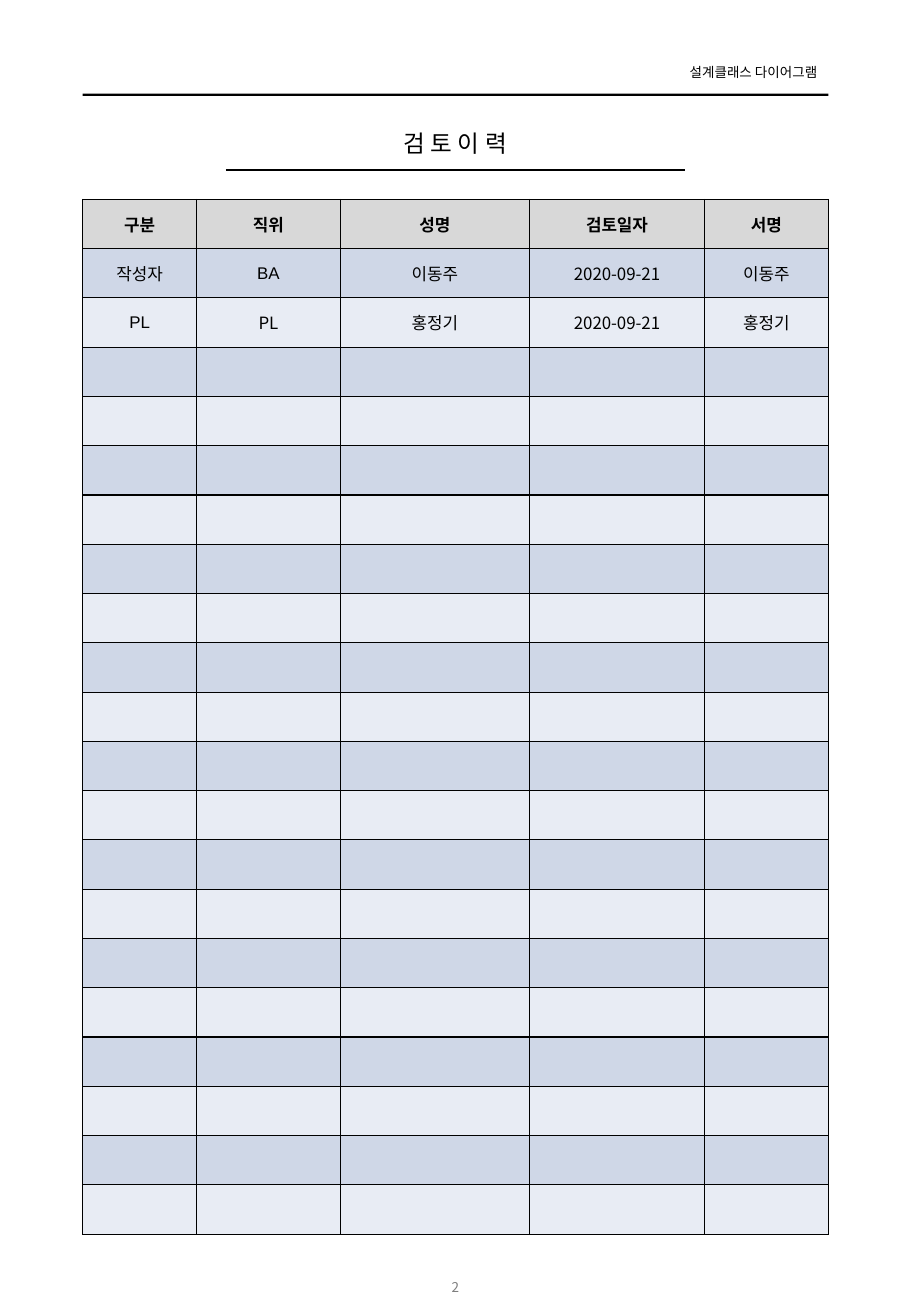
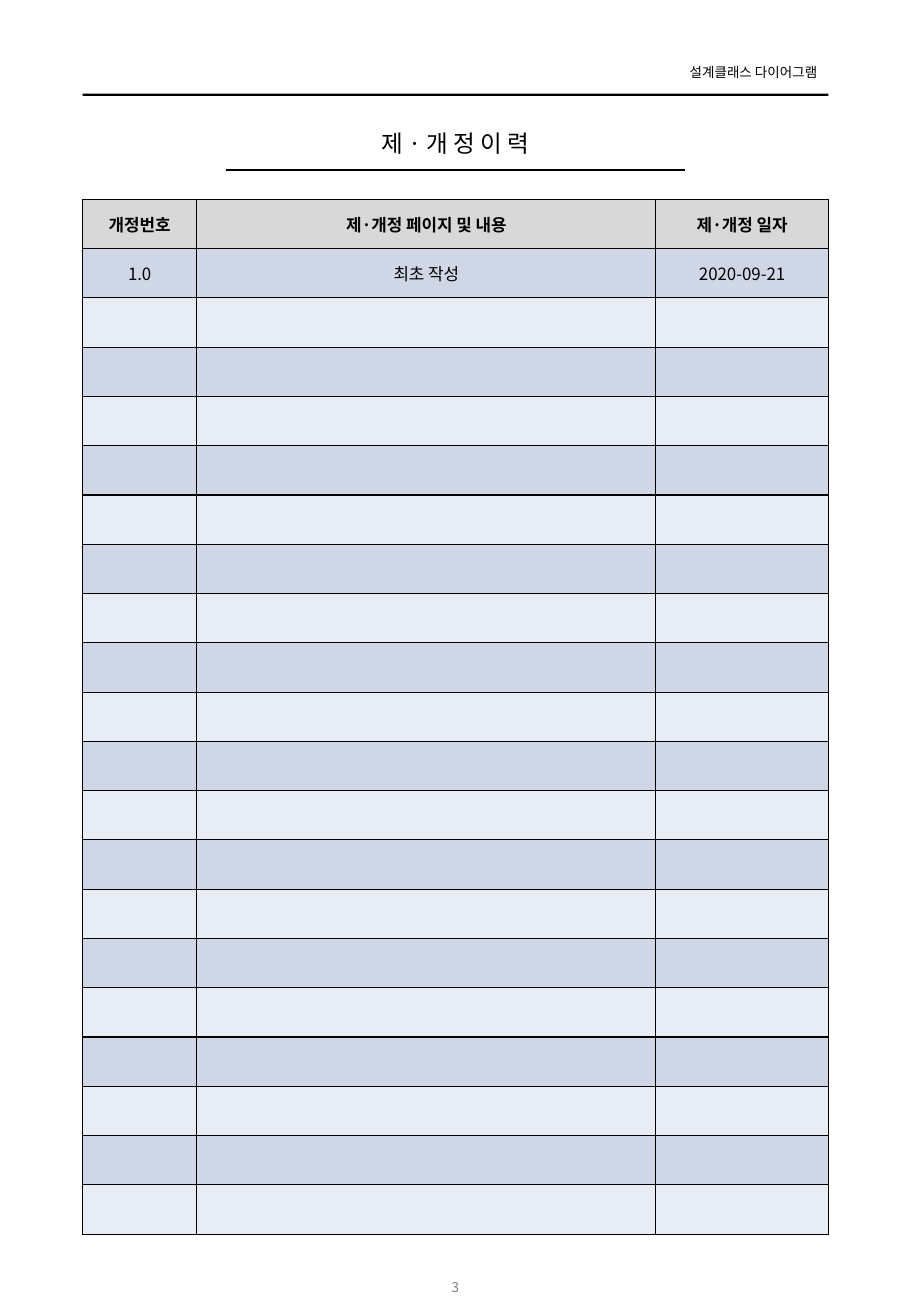
from lxml import etree
from pptx import Presentation, util as u
from pptx.dml.color import RGBColor
from pptx.enum import shapes, text
from pptx.oxml.ns import qn

EMU_PER_PX = 9144
FONT, LATIN_FONT = "Noto Sans CJK KR", "Arial"
BLACK, GREY, HEAD_FILL = "000000", "7F7F7F", "D8D8D8"
BANDS = ("CFD7E7", "E8ECF4")
LEFT, WIDTH = 68, 614
TABLE_TOP, TABLE_HEIGHT, ROWS = 164, 852, 21
ALIGN, ANCHOR = text.PP_ALIGN, text.MSO_ANCHOR

REVIEW = [
    ["구분", "직위", "성명", "검토일자", "서명"],
    ["작성자", "BA", "이동주", "2020-09-21", "이동주"],
    ["PL", "PL", "홍정기", "2020-09-21", "홍정기"],
]
REVISION = [
    ["개정번호", "제·개정 페이지 및 내용", "제·개정 일자"],
    ["1.0", "최초 작성", "2020-09-21"],
]


def px(length):
    """Turn px into EMU."""
    return u.Emu(round(length * EMU_PER_PX))


def color(hex_value):
    """Turn a hex string into a colour."""
    return RGBColor.from_string(hex_value)


def paint(fill, hex_value):
    """Give a fill one solid colour."""
    fill.solid()
    fill.fore_color.rgb = color(hex_value)


def style(paragraph, size, align=ALIGN.CENTER, ink=BLACK, bold=False, font=FONT):
    """Set the look of a whole paragraph."""
    paragraph.alignment = align
    paragraph.font.size = u.Pt(size)
    paragraph.font.bold = bold
    paragraph.font.color.rgb = color(ink)
    paragraph.font.name = font
    defaults = paragraph._p.pPr.find(qn("a:defRPr"))
    etree.SubElement(defaults, qn("a:ea"), typeface=FONT)


def add_label(slide, words, box, size, sides=(10, 10), anchor=ANCHOR.TOP, **look):
    """Add a line of text in a box."""
    frame = slide.shapes.add_textbox(*map(px, box)).text_frame
    frame.word_wrap = True
    frame.vertical_anchor = anchor
    frame.margin_left, frame.margin_right = map(px, sides)
    frame.margin_top = frame.margin_bottom = px(5)
    frame.text = words
    style(frame.paragraphs[0], size, **look)


def add_band(slide):
    """Add the thick rule under the running header."""
    band = slide.shapes.add_shape(
        shapes.MSO_SHAPE.RECTANGLE, px(LEFT), px(77), px(WIDTH), px(2))
    band.shadow.inherit = False
    paint(band.fill, BLACK)
    band.line.fill.background()


def add_title_rule(slide):
    """Add the thin line under the title."""
    rule = slide.shapes.add_connector(
        shapes.MSO_CONNECTOR.STRAIGHT, px(186), px(140), px(564), px(140))
    rule.line.color.rgb = color(BLACK)
    rule.line.width = u.Pt(1)
    etree.SubElement(rule._element.spPr, qn("a:effectLst"))


def add_borders(cell):
    """Draw a thin black line on each side of a cell."""
    properties = cell._tc.get_or_add_tcPr()
    for side in ("lnL", "lnR", "lnT", "lnB"):
        edge = etree.SubElement(properties, qn(f"a:{side}"), w=str(u.Pt(0.75)))
        ink = etree.SubElement(edge, qn("a:solidFill"))
        etree.SubElement(ink, qn("a:srgbClr"), val=BLACK)


def add_history(slide, entries, widths, latin_cells=()):
    """Add a history table with a header and banded rows."""
    table = slide.shapes.add_table(
        ROWS, len(widths), px(LEFT), px(TABLE_TOP), px(WIDTH), px(TABLE_HEIGHT)).table
    table.first_row = table.horz_banding = False
    for column, width in zip(table.columns, widths):
        column.width = px(width)
    for r, row in enumerate(table.rows):
        row.height = px(TABLE_HEIGHT / ROWS)
        for c, cell in enumerate(row.cells):
            add_borders(cell)
            paint(cell.fill, BANDS[(r - 1) % 2] if r else HEAD_FILL)
            cell.vertical_anchor = ANCHOR.MIDDLE
            if r < len(entries):
                cell.text = entries[r][c]
            font = LATIN_FONT if (r, c) in latin_cells else FONT
            style(cell.text_frame.paragraphs[0], 10, bold=r == 0, font=font)


def add_page(deck, title, number):
    """Add a slide with the shared header, title and page number."""
    slide = deck.slides.add_slide(deck.slide_layouts[6])
    add_band(slide)
    add_label(slide, "설계클래스 다이어그램", (547, 48, 134, 24), 8,
              sides=(10, 8), align=ALIGN.RIGHT)
    add_title_rule(slide)
    add_label(slide, title, (LEFT, 101, WIDTH, 34), 14, sides=(0, 0))
    add_label(slide, str(number), (328, 1039, 94, 40), 8,
              anchor=ANCHOR.MIDDLE, ink=GREY)
    return slide


def main():
    """Build the two history pages."""
    deck = Presentation()
    deck.slide_width, deck.slide_height = px(750), px(1083)
    review = add_page(deck, "검 토 이 력", 2)
    add_history(review, REVIEW, (94, 118, 156, 144, 102), {(1, 1), (2, 0)})
    revision = add_page(deck, "제 · 개 정 이 력", 3)
    add_history(revision, REVISION, (94, 378, 142))
    deck.save("out.pptx")


if __name__ == "__main__":
    main()
